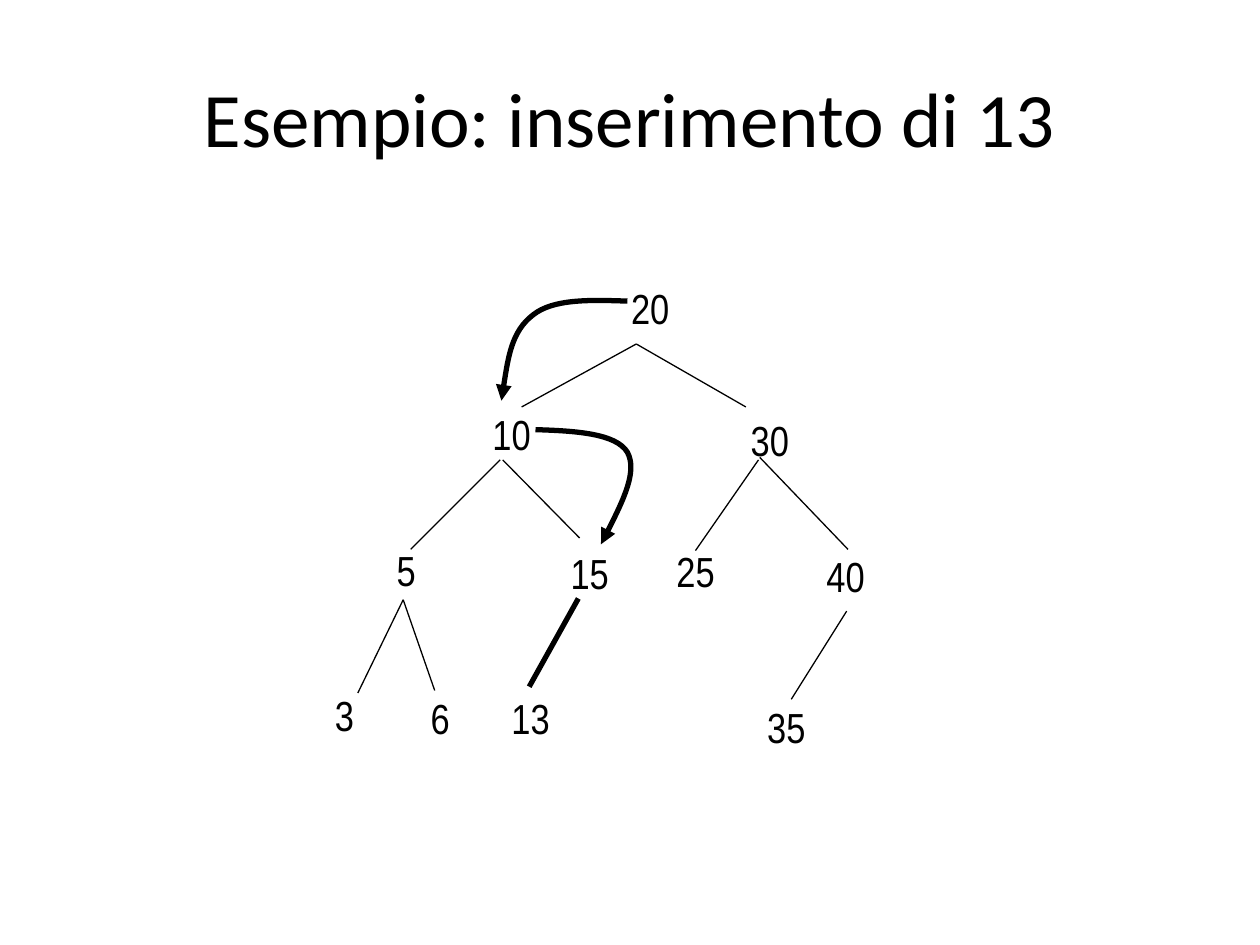
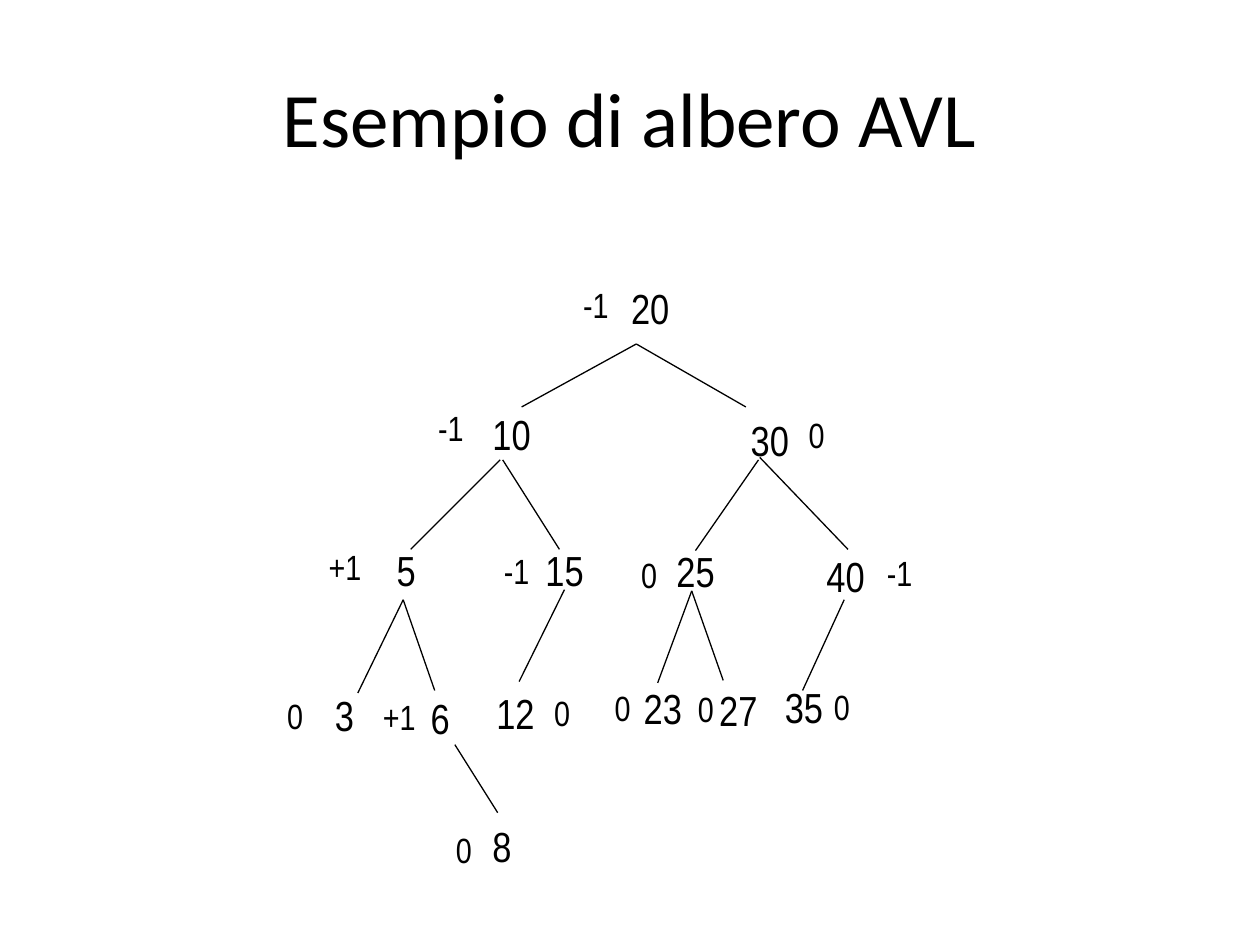
import pptx
import pptx.dml.color
import pptx.enum.shapes
import pptx.enum.text
import pptx.oxml.ns
import pptx.util
from lxml import etree

Inches = pptx.util.Inches
BLACK = "000000"
TITLE = {"size": pptx.util.Pt(44), "name": "Calibri"}
KEY = {"size": pptx.util.Pt(24), "name": "Arial Narrow"}
BALANCE = {"size": pptx.util.Pt(20), "name": "Arial Narrow"}
KEY_WIDTHS = {1: 0.35, 2: 0.51}
BALANCE_WIDTHS = {"0": 0.33, "-1": 0.4, "+1": 0.46}
THIN, THICK = 0.75, 3

# Keys (text, left, top) and edges (from, to) that both trees have
SHARED_KEYS = [
    ("20", 4.91, 2.19), ("10", 3.81, 3.19), ("30", 5.86, 3.24),
    ("5", 3.05, 4.27), ("25", 5.27, 4.28), ("40", 6.46, 4.32),
    ("3", 2.56, 5.42), ("6", 3.32, 5.45),
]
SHARED_EDGES = [
    ((5.05, 2.73), (4.14, 3.23)), ((5.05, 2.73), (5.92, 3.23)),
    ((3.97, 3.65), (3.26, 4.36)),
    ((6.02, 3.65), (5.52, 4.37)), ((6.03, 3.63), (6.73, 4.36)),
    ((3.2, 4.76), (2.84, 5.5)), ((3.2, 4.76), (3.45, 5.48)),
]

# Insertion slide: its own keys and edges, and the search path as Bezier points
INSERT_KEYS = [("15", 4.43, 4.3), ("35", 5.99, 5.52), ("13", 3.96, 5.45)]
INSERT_EDGES = [((3.99, 3.65), (4.6, 4.27)), ((6.72, 4.85), (6.28, 5.55))]
NEW_EDGE = ((4.59, 4.75), (4.2, 5.45))
SEARCH_PATH = [
    [(4.98, 2.39), (4.69, 2.38), (4.39, 2.37), (4.23, 2.5),
     (4.06, 2.63), (4.02, 2.91), (3.98, 3.18)],
    [(4.25, 3.41), (4.57, 3.42), (4.89, 3.44), (4.98, 3.59),
     (5.06, 3.74), (4.92, 4.03), (4.77, 4.32)],
]

# AVL slide: its own keys and edges, and the balance factors
AVL_KEYS = [
    ("15", 4.23, 4.27), ("35", 6.13, 5.36), ("12", 3.84, 5.41),
    ("23", 5.01, 5.37), ("27", 5.61, 5.38), ("8", 3.81, 6.46),
]
AVL_EDGES = [
    ((3.99, 3.65), (4.44, 4.36)), ((6.7, 4.76), (6.37, 5.48)),
    ((4.48, 4.68), (4.12, 5.41)), ((5.49, 4.69), (5.74, 5.4)),
    ((5.49, 4.69), (5.22, 5.42)), ((3.61, 5.91), (3.95, 6.45)),
]
BALANCES = [
    ("-1", 4.53, 2.2), ("-1", 3.38, 3.18), ("0", 6.32, 3.23),
    ("+1", 2.51, 4.28), ("-1", 3.9, 4.31), ("0", 4.99, 4.34),
    ("-1", 6.94, 4.33), ("0", 2.18, 5.46), ("+1", 2.94, 5.47),
    ("0", 4.3, 5.44), ("0", 4.78, 5.4), ("0", 5.44, 5.41),
    ("0", 6.52, 5.39), ("0", 3.52, 6.53),
]


def rgb(color):
    return pptx.dml.color.RGBColor.from_string(color)


def add_text(s, text, box, style):
    sp = s.shapes.add_textbox(*map(Inches, box))
    p = sp.text_frame.paragraphs[0]
    r = p.add_run()
    r.text = text
    for name, value in style.items():
        setattr(r.font, name, value)
    r.font.color.rgb = rgb(BLACK)
    return sp.text_frame


def add_title(s, text):
    tf = add_text(s, text, (0.5, 0.3, 9, 1.25), TITLE)
    tf.word_wrap = True
    tf.vertical_anchor = pptx.enum.text.MSO_ANCHOR.MIDDLE
    tf.paragraphs[0].alignment = pptx.enum.text.PP_ALIGN.CENTER


def add_label(s, text, box, style):
    tf = add_text(s, text, box, style)
    tf.word_wrap = False
    tf.auto_size = pptx.enum.text.MSO_AUTO_SIZE.SHAPE_TO_FIT_TEXT


def add_balance(s, text, left, top):
    add_label(s, text, (left, top, BALANCE_WIDTHS[text], 0.43), BALANCE)


def set_line(sp, width):
    sp.line.color.rgb = rgb(BLACK)
    sp.line.width = pptx.util.Pt(width)


def add_edge(s, start, end, width=THIN):
    line = s.shapes.add_connector(
        pptx.enum.shapes.MSO_CONNECTOR.STRAIGHT, *map(Inches, start + end))
    set_line(line, width)
    etree.SubElement(line._element.spPr, pptx.oxml.ns.qn("a:effectLst"))


def add_curved_arrow(s, points):
    qn = pptx.oxml.ns.qn
    builder = s.shapes.build_freeform(*points[0], scale=Inches(1))
    builder = s.shapes.build_freeform(
        *(round(v * 100) for v in points[0]), scale=Inches(0.01))
    builder.add_line_segments(
        [(round(x * 100), round(y * 100)) for x, y in points[1:]], close=False)
    sp = builder.convert_to_shape()
    sp.shadow.inherit = False
    sp.fill.background()
    set_line(sp, THICK)
    # Turn each three straight segments into one Bezier segment
    segments = list(sp._element.iter(qn("a:lnTo")))
    outline = segments[0].getparent()
    for i in range(0, len(segments), 3):
        curve = etree.SubElement(outline, qn("a:cubicBezTo"))
        for segment in segments[i:i + 3]:
            curve.append(segment[0])
            outline.remove(segment)
    etree.SubElement(sp.line._get_or_add_ln(), qn("a:tailEnd"), type="triangle")


def add_tree(s, keys, edges):
    for text, left, top in SHARED_KEYS + keys:
        add_label(s, text, (left, top, KEY_WIDTHS[len(text)], 0.5), KEY)
    for start, end in SHARED_EDGES + edges:
        add_edge(s, start, end)


def add_slide(prs, title):
    s = prs.slides.add_slide(prs.slide_layouts[6])
    add_title(s, title)
    return s


def main():
    prs = pptx.Presentation()
    prs.slide_width, prs.slide_height = Inches(10), Inches(7.5)

    # Insertion into the search tree
    s = add_slide(prs, "Esempio: inserimento di 13")
    add_tree(s, INSERT_KEYS, INSERT_EDGES)
    for points in SEARCH_PATH:
        add_curved_arrow(s, points)
    add_edge(s, *NEW_EDGE, width=THICK)

    # AVL tree with balance factors
    s = add_slide(prs, "Esempio di albero AVL")
    add_tree(s, AVL_KEYS, AVL_EDGES)
    for balance in BALANCES:
        add_balance(s, *balance)

    prs.save("out.pptx")


main()
